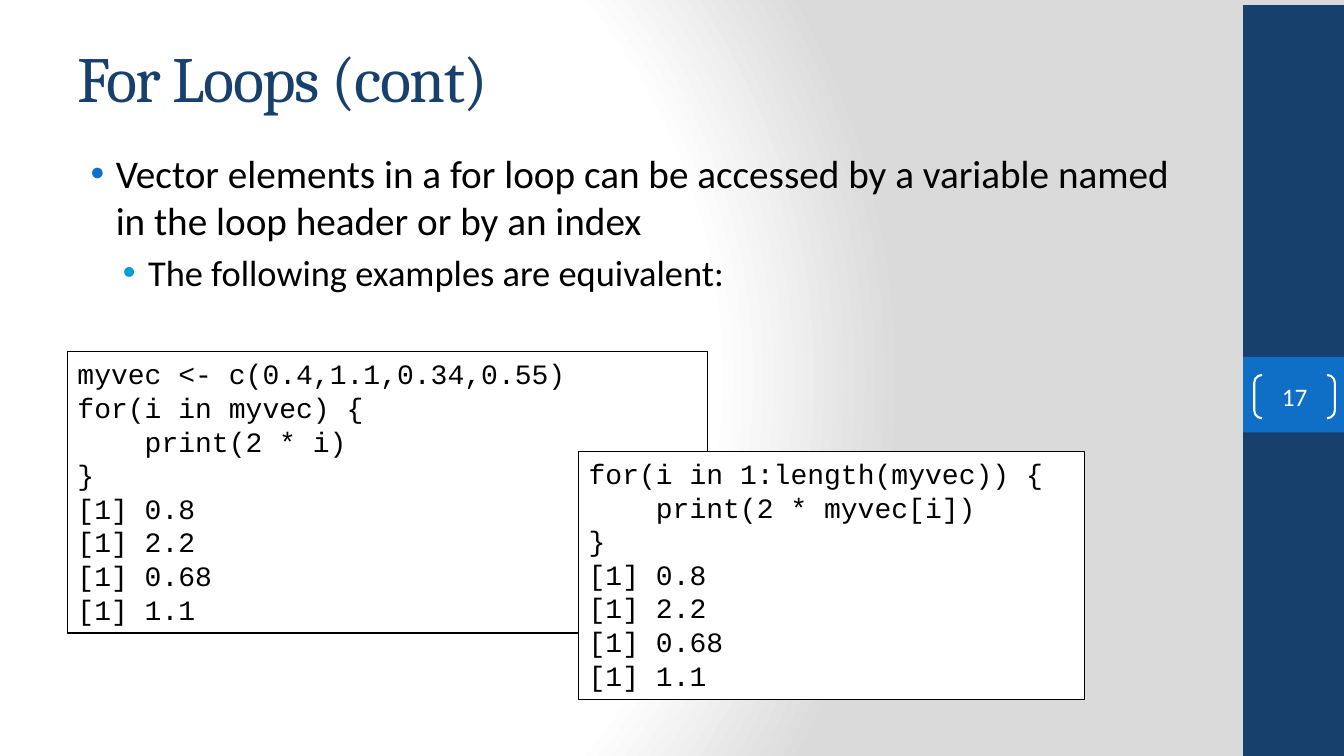
"""Build the "For Loops (cont)" slide on iterating over a vector in R."""
from dataclasses import dataclass

from lxml.etree import SubElement
from pptx import Presentation
from pptx.dml.color import RGBColor
from pptx.enum.shapes import MSO_SHAPE
from pptx.enum.text import MSO_ANCHOR, PP_ALIGN
from pptx.oxml.ns import qn
from pptx.util import Inches, Pt

RECTANGLE, BRACKETS = MSO_SHAPE.RECTANGLE, MSO_SHAPE.DOUBLE_BRACKET
TOP, MIDDLE = MSO_ANCHOR.TOP, MSO_ANCHOR.MIDDLE
LEFT, CENTER = PP_ALIGN.LEFT, PP_ALIGN.CENTER


@dataclass(frozen=True)
class Theme:
    navy: str = "17406D"
    blue: str = "0F6FC6"
    cyan: str = "009DD9"
    white: str = "FFFFFF"
    gray: str = "DADADA"
    black: str = "000000"
    heading_font: str = "Cambria"
    body_font: str = "Calibri"
    code_font: str = "Courier New"
    title_size: float = 46
    bullet_sizes: tuple = (28, 26)
    number_size: float = 18
    code_size: float = 20
    thin_line: float = 0.75
    bracket_line: float = 1.5


class SlideBuilder:
    def __init__(self, slide, theme):
        self.slide, self.theme = slide, theme

    def background(self, stops, focus):
        self.slide.background.fill.gradient()
        gradient = self.slide.element.find(".//" + qn("a:gradFill"))
        gradient.clear()
        stop_list = SubElement(gradient, qn("a:gsLst"))
        for percent, color in stops:
            stop = SubElement(stop_list, qn("a:gs"), pos=str(percent * 1000))
            SubElement(stop, qn("a:srgbClr"), val=color)
        circle = SubElement(gradient, qn("a:path"), path="circle")
        edges = {side: str(percent * 1000) for side, percent in zip("ltrb", focus)}
        SubElement(circle, qn("a:fillToRect"), **edges)

    def shape(self, kind, box, fill=None, line=None, width=0):
        shape = self.slide.shapes.add_shape(kind, *map(Inches, box))
        shape.shadow.inherit = False
        if fill:
            shape.fill.solid()
            shape.fill.fore_color.rgb = RGBColor.from_string(fill)
        else:
            shape.fill.background()
        if line:
            shape.line.color.rgb = RGBColor.from_string(line)
            shape.line.width = Pt(width)
        else:
            shape.line.fill.background()
        return shape

    def text_frame(self, box, anchor=TOP):
        frame = self.slide.shapes.add_textbox(*map(Inches, box)).text_frame
        frame.word_wrap = True
        frame.vertical_anchor = anchor
        return frame

    def paragraph(self, frame, text, font, size, color, align=LEFT):
        first = frame.paragraphs[0]
        paragraph = frame.add_paragraph() if first.runs else first
        paragraph.alignment = align
        run = paragraph.add_run()
        run.text = text
        run.font.name, run.font.size = font, Pt(size)
        run.font.color.rgb = RGBColor.from_string(color)
        return paragraph

    def title(self, text, box):
        theme = self.theme
        heading = self.paragraph(self.text_frame(box, MIDDLE), text,
                                 theme.heading_font, theme.title_size, theme.navy)
        heading.runs[0].font._element.set("spc", "-100")

    def bullets(self, items, box):
        theme = self.theme
        frame = self.text_frame(box)
        levels = tuple(zip(theme.bullet_sizes, (theme.blue, theme.cyan), (0.38, 0.7)))
        for level, text in items:
            size, color, margin = levels[level]
            item = self.paragraph(frame, text, theme.body_font, size, theme.black)
            item.level = level
            item.space_before = Pt(size * 0.2)
            properties = item._p.get_or_add_pPr()
            properties.set("marL", str(Inches(margin)))
            properties.set("indent", str(Inches(-0.25)))
            bullet_color = SubElement(properties, qn("a:buClr"))
            SubElement(bullet_color, qn("a:srgbClr"), val=color)
            SubElement(properties, qn("a:buFont"), typeface="Arial")
            SubElement(properties, qn("a:buChar"), char="•")

    def code(self, lines, box, fill=None):
        theme = self.theme
        frame = self.shape(RECTANGLE, box, fill, theme.black, theme.thin_line).text_frame
        frame.word_wrap = True
        frame.vertical_anchor = TOP
        four_characters = Pt(4 * 0.6 * theme.code_size)
        for depth, text in lines:
            line = self.paragraph(frame, text, theme.code_font, theme.code_size, theme.black)
            line._p.get_or_add_pPr().set("marL", str(depth * four_characters))

    def page_number(self, text, box):
        theme = self.theme
        brackets = self.shape(BRACKETS, box, line=theme.white, width=theme.bracket_line)
        brackets.adjustments[0] = 0.18
        frame = brackets.text_frame
        frame.vertical_anchor = MIDDLE
        frame.margin_left = frame.margin_right = frame.margin_top = frame.margin_bottom = 0
        self.paragraph(frame, text, theme.body_font, theme.number_size, theme.white, CENTER)


theme = Theme()
deck = Presentation()
deck.slide_width, deck.slide_height = Inches(13.33), Inches(7.5)
page = SlideBuilder(deck.slides.add_slide(deck.slide_layouts[6]), theme)

page.background([(0, theme.white), (75, theme.white), (100, theme.gray)], (20, 50, 100, 50))
page.shape(RECTANGLE, (12.33, 0.05, 1, 7.45), theme.navy)
page.shape(RECTANGLE, (12.33, 3.54, 1, 0.75), theme.blue)
page.title("For Loops (cont)", (0.67, 0.3, 11.11, 0.93))
page.bullets([
    (0, "Vector elements in a for loop can be accessed by a variable named "
        "in the loop header or by an index"),
    (1, "The following examples are equivalent:"),
], (0.67, 1.43, 11.34, 5.89))
page.page_number("17", (12.44, 3.72, 0.8, 0.43))

output = [(0, f"[1] {value}") for value in (0.8, 2.2, 0.68, 1.1)]
loop_by_variable = [
    (0, "myvec <- c(0.4,1.1,0.34,0.55)"),
    (0, "for(i in myvec) {"),
    (1, "print(2 * i)"),
    (0, "}"),
]
loop_by_index = [
    (0, "for(i in 1:length(myvec)) {"),
    (1, "print(2 * myvec[i])"),
    (0, "}"),
]
page.code(loop_by_variable + output, (0.67, 3.49, 6.35, 2.79))
page.code(loop_by_index + output, (5.74, 4.48, 5.02, 2.46), theme.white)

deck.save("out.pptx")
